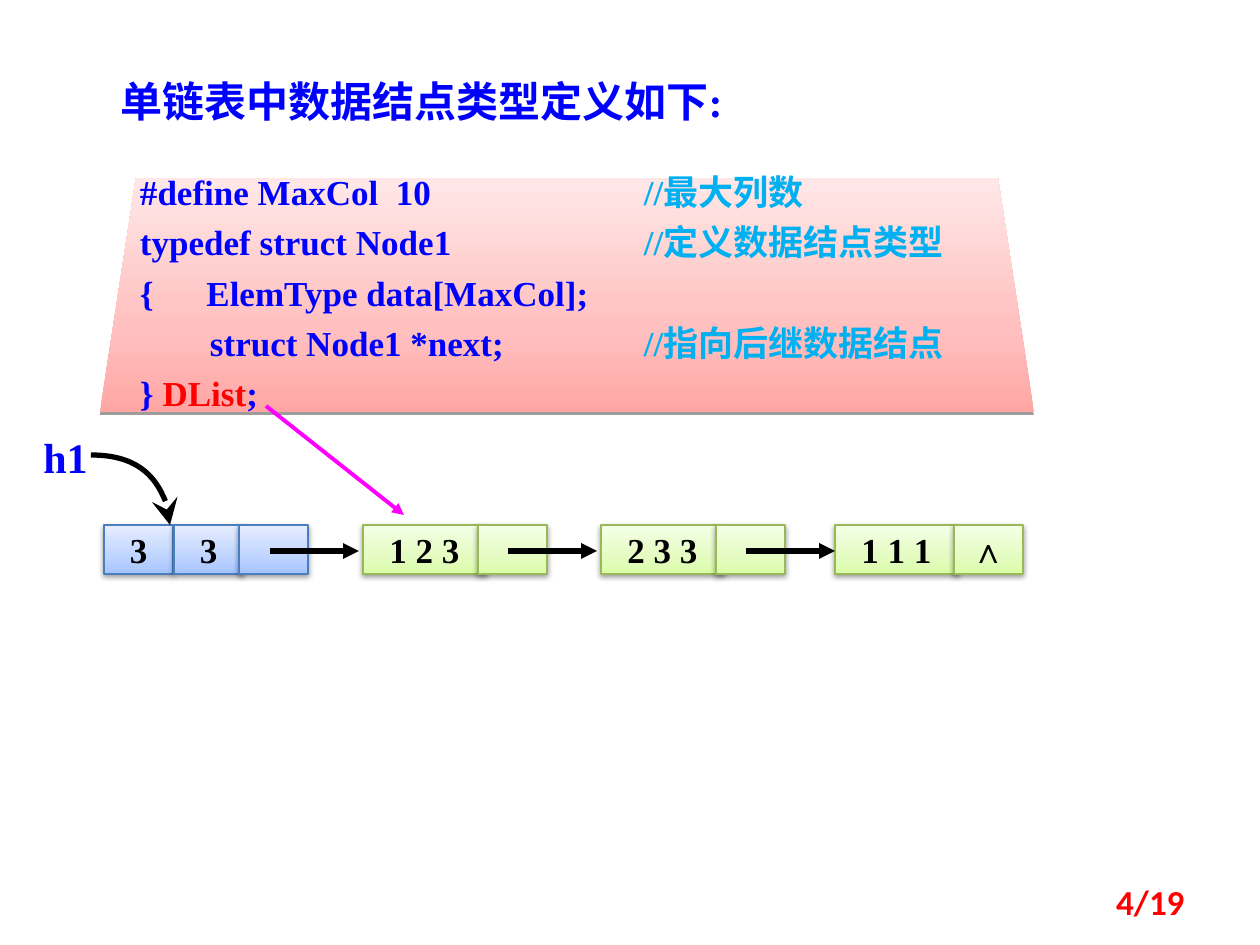
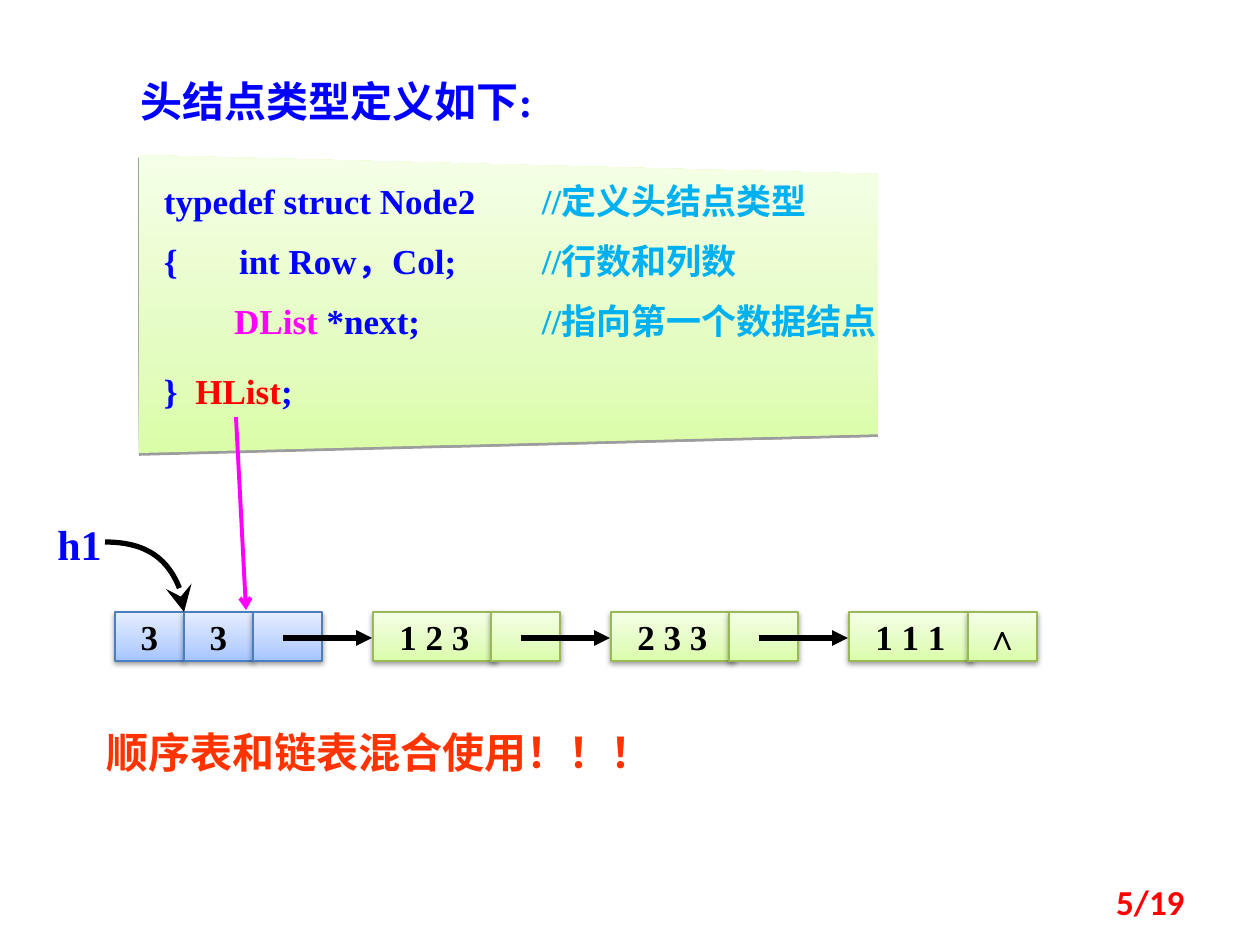
from copy import deepcopy
from pptx import Presentation
from pptx.dml.color import RGBColor
from pptx.enum import shapes, text
from pptx.oxml.ns import qn
from pptx.oxml.xmlchemy import OxmlElement
from pptx.util import Pt

# Content: lengths in px, code runs as (text, colour name)
SLIDES = [
    dict(
        title=("单链表中数据结点类型定义如下:", (108, 69, 808, 63)),
        panel=("red", [(136, 178), (998, 178), (1034, 412), (100, 412)]),
        code_box=(120, 147, 893, 285),
        code=[
            [("#define MaxCol  10\t\t", "code"), ("//最大列数", "comment")],
            [("typedef struct Node1\t\t", "code"), ("//定义数据结点类型", "comment")],
            [("{  　ElemType data[MaxCol];", "code")],
            [("        struct Node1 *next;\t\t", "code"), ("//指向后继数据结点", "comment")],
            [("} ", "code"), ("DList", "type"), (";", "code")],
        ],
        line_spacing=1.2,
        space_before=[0] * 5,
        row_top=525,
        head_x=[104, 174, 239],
        node_x=[363, 601, 835],
        link_x=[478, 716, 954],
        next_x=270,
        pointer_x=91,
        type_arrow=((266, 406), (404, 515), "triangle"),
        page="4/19",
    ),
    dict(
        title=("头结点类型定义如下:", (128, 69, 615, 63)),
        panel=("green", [(139, 155), (878, 174), (878, 434), (139, 453)]),
        code_box=(144, 165, 781, 276),
        code=[
            [("typedef struct Node2\t", "code"), ("//定义头结点类型", "comment")],
            [("{       int Row，Col;\t", "code"), ("//行数和列数", "comment")],
            [("        ", "code"), ("DList ", "link"), ("*next;\t", "code"),
             ("//指向第一个数据结点", "comment")],
            [("}  ", "code"), ("HList", "type"), (";", "code")],
        ],
        line_spacing=1.0,
        space_before=[0, 10, 10, 16],
        row_top=612,
        head_x=[115, 184, 253],
        node_x=[373, 611, 849],
        link_x=[491, 729, 968],
        next_x=283,
        pointer_x=105,
        type_arrow=((236, 417), (246, 610), "arrow"),
        note=("顺序表和链表混合使用！！！", (94, 720, 605, 63)),
        page="5/19",
    ),
]
HEAD = ["3", "3", ""]
NODES = ["1 2 3", "2 3 3", "1 1 1"]
LINKS = ["", "", "∧"]


class Theme:
    font, page_font = "Times New Roman", "Calibri"
    title, body = 24, 20
    color = dict(code="0000FF", comment="00B0F0", type="FF0000", link="FF00FF",
                 note="FF3300", ink="000000", page="FF0000")
    # Gradient colours from bottom to top, then the outline
    fill = dict(red=("FFA6A5", "FFC0BF", "FFE7E7", "BF4C48"),
                blue=("A4C4FF", "BFD4FF", "E6EEFF", "4B7EBC"),
                green=("DAFDA7", "E4FCC2", "F5FFE7", "98B955"))
    stops = (0, 0.35, 1)


PX = 914400 / 126
TAB = 914400
CELL_W, NODE_W, CELL_H = 69, 123, 49
NEXT_STEP, NEXT_LEN, NEXT_DY = 238, 89, 26
CURVE_W, CURVE_H = 79, 70


def px(*values):
    return [round(v * PX) for v in values]


def rgb(name):
    return RGBColor.from_string(Theme.color.get(name, name))


def apply(obj, **values):
    for key, value in values.items():
        setattr(obj, key, value)


def child(parent, tag, **attrs):
    el = OxmlElement(tag)
    for key, value in attrs.items():
        el.set(key, str(value))
    parent.append(el)
    return el


# Text
def add_run(p, words, color, size=Theme.body, font=Theme.font):
    r = p.add_run()
    r.text = words
    apply(r.font, size=Pt(size), name=font, bold=True)
    r.font.color.rgb = rgb(color)


def place(sp, box):
    apply(sp, **dict(zip(("left", "top", "width", "height"), px(*box))))


def add_label(slide, words, box, color, size=Theme.title, font=Theme.font, **layout):
    tf = slide.shapes.add_textbox(*px(*box)).text_frame
    tf.word_wrap = True
    p = tf.paragraphs[0]
    apply(p, **layout)
    add_run(p, words, color, size, font)
    return tf


def set_title(slide, words, box):
    sp = slide.shapes.title
    place(sp, box)
    apply(sp.text_frame, auto_size=text.MSO_AUTO_SIZE.NONE, word_wrap=True,
          vertical_anchor=text.MSO_ANCHOR.TOP)
    p = sp.text_frame.paragraphs[0]
    p.alignment = text.PP_ALIGN.LEFT
    add_run(p, words, "code", Theme.title)


def set_code(slide, s):
    sp = slide.placeholders[1]
    place(sp, s["code_box"])
    tf = sp.text_frame
    side, edge = px(20, 15)
    apply(tf, auto_size=text.MSO_AUTO_SIZE.NONE, word_wrap=True,
          margin_left=side, margin_right=side, margin_top=edge, margin_bottom=edge)
    for i, runs in enumerate(s["code"]):
        p = tf.add_paragraph() if i else tf.paragraphs[0]
        pPr = p._p.get_or_add_pPr()
        for key, value in dict(marL=0, indent=0, defTabSz=TAB).items():
            pPr.set(key, str(value))
        child(pPr, "a:buNone")
        apply(p, line_spacing=s["line_spacing"], space_before=Pt(s["space_before"][i]))
        for words, color in runs:
            add_run(p, words, color)


# Shapes
def paint(sp, scheme, blur=40000, outline=True):
    *colors, line = Theme.fill[scheme]
    sp.fill.gradient()
    sp.fill.gradient_angle = 90
    stops = sp._element.spPr.find(".//" + qn("a:gsLst"))
    stops.append(deepcopy(stops[0]))
    for stop, pos, color in zip(sp.fill.gradient_stops, Theme.stops, colors):
        stop.position = pos
        stop.color.rgb = rgb(color)
    if outline:
        sp.line.color.rgb = rgb(line)
        sp.line.width = Pt(0.75)
    else:
        sp.line.fill.background()
    sp.shadow.inherit = False
    effects = sp._element.spPr.find(qn("a:effectLst"))
    shadow = child(effects, "a:outerShdw", blurRad=blur, dist=20000, dir=5400000, rotWithShape=0)
    child(child(shadow, "a:srgbClr", val="000000"), "a:alpha", val=38000)


def add_panel(slide, scheme, corners):
    builder = slide.shapes.build_freeform(*corners[0], scale=PX)
    builder.add_line_segments(corners[1:], close=True)
    sp = builder.convert_to_shape()
    paint(sp, scheme, blur=0, outline=False)
    slide.shapes._spTree.insert(2, sp._element)  # behind the code


def add_cell(slide, words, x, y, width, scheme):
    sp = slide.shapes.add_shape(shapes.MSO_SHAPE.RECTANGLE, *px(x, y, width, CELL_H))
    paint(sp, scheme)
    if words:
        apply(sp.text_frame, word_wrap=False, vertical_anchor=text.MSO_ANCHOR.MIDDLE)
        p = sp.text_frame.paragraphs[0]
        p.alignment = text.PP_ALIGN.CENTER
        add_run(p, words, "ink")


def style_arrow(sp, color, width, head, size="med"):
    sp.line.color.rgb = rgb(color)
    sp.line.width = Pt(width)
    child(sp.line._get_or_add_ln(), "a:tailEnd", type=head, w=size, len=size)
    spPr = sp._element.spPr
    if spPr.find(qn("a:effectLst")) is None:
        child(spPr, "a:effectLst")


def add_arrow(slide, start, end, color, width=3, head="triangle"):
    line = slide.shapes.add_connector(shapes.MSO_CONNECTOR.STRAIGHT, *px(*start, *end))
    style_arrow(line, color, width, head)


def add_head_pointer(slide, x, row_top):
    y = row_top - CURVE_H
    builder = slide.shapes.build_freeform(x, y, scale=PX)
    builder.add_line_segments([(x + CURVE_W, row_top)], close=False)
    sp = builder.convert_to_shape()
    # Bend the straight segment into a quarter ellipse
    segment = sp._element.spPr.find(".//" + qn("a:lnTo"))
    curve = OxmlElement("a:cubicBezTo")
    for cx, cy in ((44, 0), (CURVE_W, 31), (CURVE_W, CURVE_H)):
        child(curve, "a:pt", x=cx, y=cy)
    segment.getparent().replace(segment, curve)
    sp.fill.background()
    style_arrow(sp, "ink", 3, "stealth", "lg")
    add_label(slide, "h1", (x - 60, y - 30, 89, 63), "code")


def add_linked_list(slide, s):
    y = s["row_top"]
    for words, x in zip(HEAD, s["head_x"]):
        add_cell(slide, words, x, y, CELL_W, "blue")
    for words, x, link, link_x in zip(NODES, s["node_x"], LINKS, s["link_x"]):
        add_cell(slide, words, x, y, NODE_W, "green")
        add_cell(slide, link, link_x, y, CELL_W, "green")
    for i in range(len(NODES)):
        x = s["next_x"] + i * NEXT_STEP
        add_arrow(slide, (x, y + NEXT_DY), (x + NEXT_LEN, y + NEXT_DY), "ink")
    add_head_pointer(slide, s["pointer_x"], y)


def build_slide(prs, s):
    slide = prs.slides.add_slide(prs.slide_layouts[1])
    set_title(slide, *s["title"])
    set_code(slide, s)
    add_panel(slide, *s["panel"])
    add_linked_list(slide, s)
    start, end, head = s["type_arrow"]
    add_arrow(slide, start, end, "link", 2.25, head)
    if "note" in s:
        add_label(slide, *s["note"], "note")
    tf = add_label(slide, s["page"], (903, 877, 294, 50), "page", Theme.body,
                   Theme.page_font, alignment=text.PP_ALIGN.RIGHT)
    tf.vertical_anchor = text.MSO_ANCHOR.MIDDLE


def main():
    prs = Presentation()
    prs.slide_width, prs.slide_height = px(1260, 945)
    # Tab stops of one inch in the master's text styles
    for style in prs.slide_master._element.iter(qn("a:lvl1pPr")):
        style.set("defTabSz", str(TAB))
    for s in SLIDES:
        build_slide(prs, s)
    prs.save("out.pptx")


if __name__ == "__main__":
    main()
